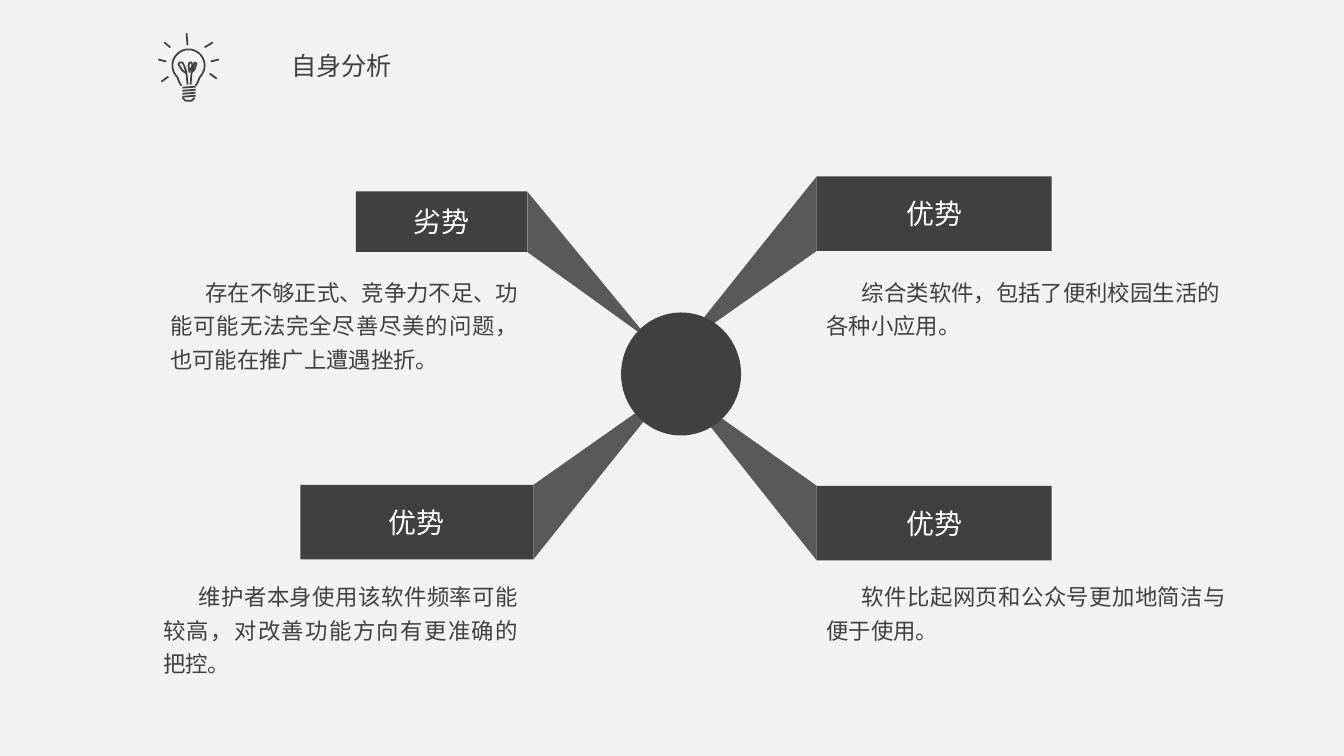
from math import cos, radians, sin

from lxml import etree
from pptx import Presentation
from pptx.dml.color import RGBColor
from pptx.enum.shapes import MSO_SHAPE
from pptx.enum.text import MSO_ANCHOR, MSO_AUTO_SIZE, PP_ALIGN
from pptx.oxml.ns import qn
from pptx.util import Pt

PX = 9144
RECT = MSO_SHAPE.RECTANGLE
OVAL = MSO_SHAPE.OVAL
MIDDLE = MSO_ANCHOR.MIDDLE
TOP = MSO_ANCHOR.TOP
FIXED = MSO_AUTO_SIZE.NONE
CENTER = PP_ALIGN.CENTER
JUSTIFY = PP_ALIGN.JUSTIFY

COLORS = {"back": "F2F2F2", "dark": "404040", "arm": "595959", "white": "FFFFFF"}
CJK = "Noto Sans CJK SC"
LATIN = "Calibri"

ARMS = [
    ("劣势", (353, 190, 170, 60), (645, 338), (159, 265, 365, 111),
     "存在不够正式、竞争力不足、功能可能无法完全尽善尽美的问题，也可能在推广上遭遇挫折。"),
    ("优势", (810, 175, 233, 74), (675, 344), (810, 265, 410, 77),
     "综合类软件，包括了便利校园生活的各种小应用。"),
    ("优势", (298, 481, 231, 74), (664, 386), (152, 567, 372, 111),
     "维护者本身使用该软件频率可能较高，对改善功能方向有更准确的把控。"),
    ("优势", (810, 482, 233, 74), (675, 386), (810, 567, 416, 77),
     "软件比起网页和公众号更加地简洁与便于使用。"),
]

RAYS = [
    [(29, 1), (30, 13)], [(55, 10), (47, 15)], [(61, 27), (53, 29)],
    [(59, 46), (52, 41)], [(7, 10), (13, 15)], [(1, 27), (9, 29)],
    [(4, 49), (11, 44)],
]
COILS = [
    [(30, 52), (29, 41), (25, 38), (21, 32), (22, 30), (25, 30), (27, 34), (29, 40)],
    [(32, 40), (31, 33), (32, 30), (34, 30), (35, 33), (32, 39)],
    [(33, 52), (34, 40), (37, 37), (39, 31), (37, 30), (36, 33), (34, 40)],
]
CAP = [(25, 65), (28, 68), (34, 68), (37, 65)]


def rgb(key):
    return RGBColor.from_string(COLORS[key])


def paint(shape, key):
    shape.shadow.inherit = False
    shape.fill.solid()
    shape.fill.fore_color.rgb = rgb(key)
    shape.line.fill.background()


def write(shape, text, size, key, font, align, anchor):
    frame = shape.text_frame
    frame.word_wrap = True
    frame.auto_size = FIXED
    frame.vertical_anchor = anchor
    para = frame.paragraphs[0]
    para.alignment = align
    run = para.add_run()
    run.text = text
    run.font.size = Pt(size)
    run.font.name = font
    run.font.color.rgb = rgb(key)
    east = etree.SubElement(run.font._element, qn("a:ea"))
    east.set("typeface", CJK)
    return para


def block(slide, kind, box, key):
    shape = slide.shapes.add_shape(kind, *(v * PX for v in box))
    paint(shape, key)
    return shape


def trace(slide, dots, closed):
    dots = [(x * PX, y * PX) for x, y in dots]
    pen = slide.shapes.build_freeform(*dots[0], scale=1.0)
    pen.add_line_segments(dots[1:], close=closed)
    return pen.convert_to_shape()


def stroke(slide, left, top, dots):
    shape = trace(slide, [(left + x, top + y) for x, y in dots], False)
    shape.shadow.inherit = False
    shape.fill.background()
    shape.line.color.rgb = rgb("dark")
    shape.line.width = Pt(1.25)


def bulb(slide, box):
    left, top, width, height = box
    arc = [(width / 2 + 16 * cos(radians(a)), 33 + 16 * sin(radians(a)))
           for a in range(140, 401, 10)]
    glass = [(24, 53), (22, 50), (20, 45), *arc, (42, 45), (40, 50), (38, 53)]
    bands = [[(25, y + 1), (38, y)] for y in range(54, height - 4, 3)]
    for dots in [glass, CAP, *RAYS, *COILS, *bands]:
        stroke(slide, left, top, dots)


def head(slide, box):
    title = slide.shapes.title
    title.left, title.top, title.width, title.height = (v * PX for v in box)
    write(title, "自身分析", 18, "dark", CJK, CENTER, MIDDLE)


def arm(slide, box, tip):
    left, top, width, height = box
    edge = left + width if left < tip[0] else left
    wedge = trace(slide, [(edge, top), tip, (edge, top + height)], True)
    paint(wedge, "arm")


def label(slide, box, text):
    shape = block(slide, RECT, box, "dark")
    write(shape, text, 20, "white", LATIN, CENTER, MIDDLE)


def note(slide, box, text):
    shape = slide.shapes.add_textbox(*(v * PX for v in box))
    para = write(shape, text, 16, "dark", CJK, JUSTIFY, TOP)
    para.line_spacing = 1.25
    para._p.get_or_add_pPr().set("indent", str(35 * PX))


def main():
    deck = Presentation()
    deck.slide_width = 1333 * PX
    deck.slide_height = 750 * PX
    slide = deck.slides.add_slide(deck.slide_layouts[5])
    slide.background.fill.solid()
    slide.background.fill.fore_color.rgb = rgb("back")
    bulb(slide, (156, 32, 62, 69))
    head(slide, (68, 45, 542, 40))
    for name, box, tip, area, text in ARMS:
        arm(slide, box, tip)
        label(slide, box, name)
        note(slide, area, text)
    block(slide, OVAL, (616, 310, 119, 122), "dark")
    deck.save("out.pptx")


if __name__ == "__main__":
    main()
